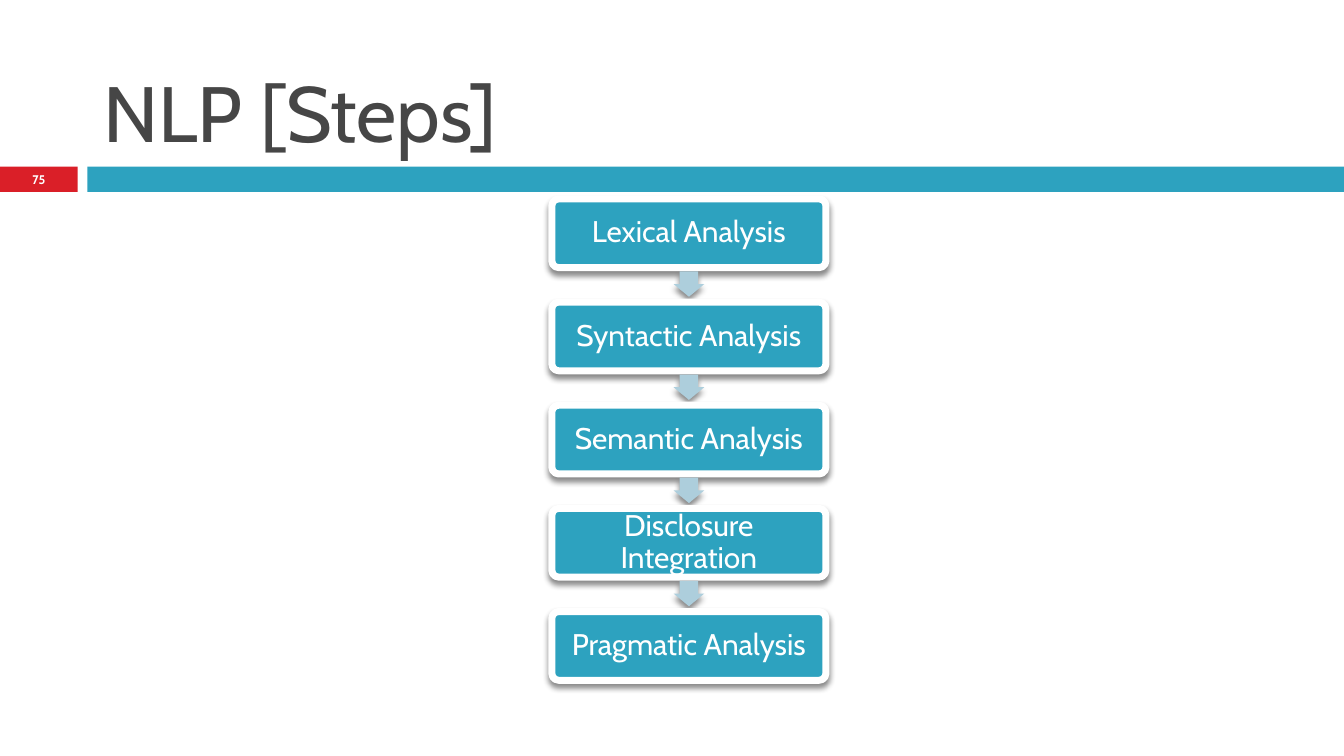
from dataclasses import dataclass

from lxml.etree import SubElement
from pptx import Presentation
from pptx.dml.color import RGBColor
from pptx.enum.shapes import MSO_SHAPE as Preset
from pptx.enum.text import MSO_ANCHOR as Anchor, MSO_AUTO_SIZE as AutoSize, PP_ALIGN as Align
from pptx.oxml.ns import qn
from pptx.util import Cm, Pt


@dataclass(frozen=True)
class Theme:
    """Colours, font and type sizes of the slide."""

    font: str = "Cabin"
    ink: str = "464646"
    red: str = "DA1F28"
    teal: str = "2DA2BF"
    pale: str = "ADCEDC"
    white: str = "FFFFFF"
    title_size: float = 42
    step_size: float = 16
    number_size: float = 6.7


THEME = Theme()
STEPS = (
    "Lexical Analysis",
    "Syntactic Analysis",
    "Semantic Analysis",
    "Disclosure Integration",
    "Pragmatic Analysis",
)
STEP_TOP, STEP_PITCH, ARROW_OFFSET = 3.76, 1.95, 1.32


def write_text(shape, text, size, color, align=Align.CENTER, anchor=Anchor.MIDDLE, bold=False):
    """Write one formatted paragraph into a shape and return it."""
    frame = shape.text_frame
    frame.word_wrap = True
    frame.auto_size = AutoSize.NONE
    frame.vertical_anchor = anchor
    frame.text = text
    paragraph = frame.paragraphs[0]
    paragraph.alignment = align
    font = paragraph.font
    font.name, font.size, font.bold = THEME.font, Pt(size), bold
    font.color.rgb = RGBColor.from_string(color)
    return paragraph


def set_insets(shape, inset):
    """Give all four text margins the same width."""
    frame = shape.text_frame
    frame.margin_left = frame.margin_right = inset
    frame.margin_top = frame.margin_bottom = inset


def add_filled(slide, preset, left, top, width, height, color):
    """Add a preset shape with a solid fill, no line and no shadow."""
    shape = slide.shapes.add_shape(preset, Cm(left), Cm(top), Cm(width), Cm(height))
    shape.shadow.inherit = False
    shape.fill.solid()
    shape.fill.fore_color.rgb = RGBColor.from_string(color)
    shape.line.fill.background()
    return shape


def add_shadow(shape):
    """Cast a soft shadow straight below a shape."""
    effects = shape._element.spPr.find(qn("a:effectLst"))
    shadow = SubElement(effects, qn("a:outerShdw"), blurRad=str(Pt(3)), dist=str(Pt(2.4)),
                        dir="5400000", rotWithShape="0")
    color = SubElement(shadow, qn("a:srgbClr"), val="000000")
    SubElement(color, qn("a:alpha"), val="45000")


def add_title(slide, text):
    """Place and format the slide title."""
    title = slide.shapes.title
    title.left, title.top, title.width, title.height = Cm(1.7), Cm(0.33), Cm(22.66), Cm(2.79)
    write_text(title, text, THEME.title_size, THEME.ink, Align.LEFT, Anchor.BOTTOM)


def add_header_band(slide, number):
    """Add the numbered red block and the teal band."""
    block = add_filled(slide, Preset.RECTANGLE, 0, 3.15, 1.47, 0.48, THEME.red)
    set_insets(block, 0)
    write_text(block, number, THEME.number_size, THEME.white, bold=True)
    add_filled(slide, Preset.RECTANGLE, 1.65, 3.15, 23.75, 0.48, THEME.teal)


def add_step(slide, text, top):
    """Add one rounded, white-framed step."""
    step = add_filled(slide, Preset.ROUNDED_RECTANGLE, 10.43, top, 5.18, 1.3, THEME.teal)
    step.adjustments[0] = 0.1
    step.line.color.rgb = RGBColor.from_string(THEME.white)
    step.line.width = Pt(3.75)
    add_shadow(step)
    set_insets(step, Cm(0.18))
    write_text(step, text, THEME.step_size, THEME.white).line_spacing = 0.9


def add_step_arrow(slide, top):
    """Add the arrow that leads down to the next step."""
    arrow = add_filled(slide, Preset.RIGHT_ARROW, 12.78, top, 0.48, 0.58, THEME.pale)
    arrow.rotation = 90
    arrow.adjustments[0] = 0.6
    arrow.adjustments[1] = 0.5
    add_shadow(arrow)


def main():
    """Build and save the slide."""
    presentation = Presentation()
    presentation.slide_width, presentation.slide_height = Cm(25.4), Cm(14.29)
    slide = presentation.slides.add_slide(presentation.slide_layouts[5])
    add_title(slide, "NLP [Steps]")
    add_header_band(slide, "75")
    for index, text in enumerate(STEPS):
        top = STEP_TOP + index * STEP_PITCH
        add_step(slide, text, top)
        if index < len(STEPS) - 1:
            add_step_arrow(slide, top + ARROW_OFFSET)
    presentation.save("out.pptx")


if __name__ == "__main__":
    main()
